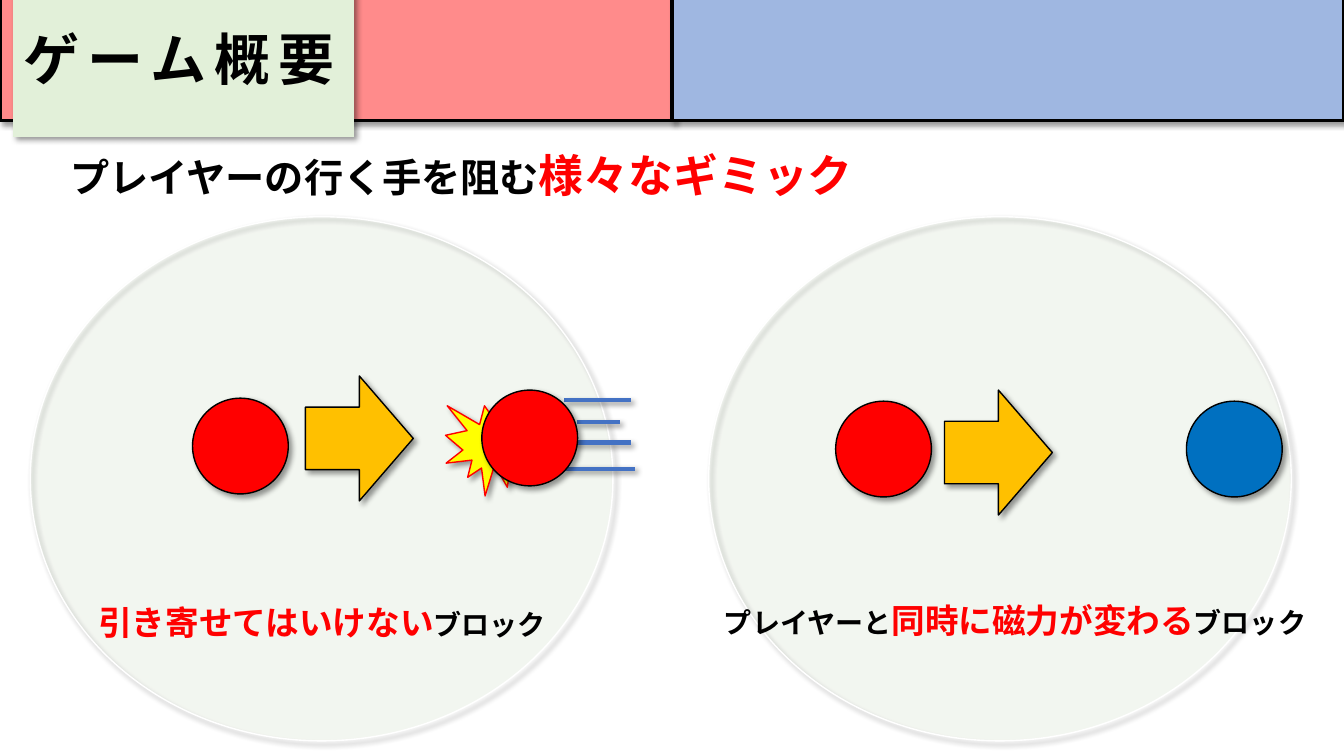
from pptx import Presentation, util as u
from pptx.dml.color import RGBColor
from pptx.enum import shapes, text
from pptx.oxml.ns import qn
from lxml import etree

CELL = u.Inches(0.1)
COLS, ROWS = 133.33, 75
FONT = "Noto Sans CJK JP"
HUES = dict(black="000000", white="FFFFFF", red="FF0000", blue="0070C0",
            pink="FF8B8B", sky="9FB7E1", mint="E2F0D9", green="70AD47",
            yellow="FFFF00", gold="FFC000", streak="4472C4")
KIND = shapes.MSO_SHAPE
BALL = 9.5


def cells(*nums):
    """Turn grid cells into slide lengths."""
    return [round(n * CELL) for n in nums]


def rgb(name):
    """Look up a named colour."""
    return RGBColor.from_string(HUES[name])


def shade(item):
    """Give an item the soft shadow that falls to the lower right."""
    fx = etree.SubElement(item._element.spPr, qn("a:effectLst"))
    drop = etree.SubElement(fx, qn("a:outerShdw"), blurRad="50800", dist="38100",
                            dir="2700000", algn="tl", rotWithShape="0")
    tone = etree.SubElement(drop, qn("a:srgbClr"), val=HUES["black"])
    etree.SubElement(tone, qn("a:alpha"), val="40000")


def paint(item, fill, line=None, width=1, alpha=None):
    """Set the fill, line and shadow of a shape."""
    item.fill.solid()
    item.fill.fore_color.rgb = rgb(fill)
    if alpha:
        tone = item._element.spPr.find(qn("a:solidFill"))[0]
        etree.SubElement(tone, qn("a:alpha"), val=str(alpha * 1000))
    if line:
        item.line.color.rgb = rgb(line)
        item.line.width = u.Pt(width)
    else:
        item.line.fill.background()
    shade(item)


def draw(slide, kind, box, *look, **more):
    """Add a painted preset shape in a box of cells."""
    paint(slide.shapes.add_shape(kind, *cells(*box)), *look, **more)


def write(item, runs, align=text.PP_ALIGN.LEFT, gap=None):
    """Fill one unwrapped line with bold runs of (words, size, colour)."""
    frame = item.text_frame
    frame.word_wrap = False
    frame.auto_size = text.MSO_AUTO_SIZE.SHAPE_TO_FIT_TEXT
    para = frame.paragraphs[0]
    para.alignment = align
    for words, size, hue in runs:
        run = para.add_run()
        run.text = words
        font = run.font
        font.size, font.bold = u.Pt(size), True
        font.color.rgb = rgb(hue)
        font.name = FONT
        props = font._element
        etree.SubElement(props, qn("a:ea"), typeface=FONT)
        if gap:
            props.set("spc", str(gap * 100))


def label(slide, box, runs, **more):
    """Add a text box in a box of cells."""
    write(slide.shapes.add_textbox(*cells(*box)), runs, **more)


def header(slide, box):
    """Place the two colour bars and the title plate on top of them."""
    left, top, wide, high = box
    half = wide / 2
    for i, hue in enumerate(("pink", "sky")):
        draw(slide, KIND.RECTANGLE, (left + i * half, top, half, high), hue, "black", 2.25)
    title = slide.shapes.title
    title.left, title.top, title.width, title.height = cells(left + 1.3, top + 5.2, 33.8, 7.7)
    paint(title, "mint")
    write(title, [("ゲーム概要", 40, "black")], gap=6)
    slide.shapes._spTree.append(title._element)


def crash(slide, x, y):
    """Place the burst and speed lines around a ball at x, y."""
    draw(slide, KIND.EXPLOSION1, (x - 3.6, y + 0.5, 10, 10), "yellow", "red")
    for start, end, drop in ((8.2, 14.8, 1), (9.4, 13.7, 3.2), (6, 14.8, 5.2), (8.3, 15.2, 7.8)):
        line = slide.shapes.add_connector(
            shapes.MSO_CONNECTOR.STRAIGHT, *cells(x + start, y + drop, x + end, y + drop))
        line.line.color.rgb = rgb("streak")
        line.line.width = u.Pt(3)
        shade(line)


def panel(slide, box, arrow, balls, note, runs, hit=False):
    """Place one gimmick: a disc, an arrow, two balls and a caption."""
    left, top = box[:2]
    draw(slide, KIND.OVAL, box, "green", "white", alpha=5)
    if hit:
        x, y, _ = balls[-1]
        crash(slide, left + x, top + y)
    draw(slide, KIND.RIGHT_ARROW, (left + arrow[0], top + arrow[1], 10.7, 12.4), "gold", "black")
    for x, y, hue in balls:
        draw(slide, KIND.OVAL, (left + x, top + y, BALL, BALL), hue, "black")
    x, y, wide = note
    label(slide, (left + x, top + y, wide, 5), runs, align=text.PP_ALIGN.CENTER)


def main():
    """Build the slide and save it."""
    deck = Presentation()
    deck.slide_width, deck.slide_height = cells(COLS, ROWS)
    slide = deck.slides.add_slide(deck.slide_layouts[5])
    label(slide, (6, 14.2, 80.6, 6.4),
          [("プレイヤーの行く手を阻む", 28, "black"), ("様々なギミック", 32, "red")])
    header(slide, (0, -3.3, COLS, 15.3))
    panel(slide, (3, 21.5, 57.8, 52), (27.3, 15.8),
          [(16.1, 18, "red"), (44.8, 17.2, "red")], (5.5, 37.7, 46.9),
          [("引き寄せてはいけない", 24, "red"), ("ブロック", 20, "black")], hit=True)
    panel(slide, (70.3, 21.5, 57.8, 52), (23.4, 17.2),
          [(12.6, 18.3, "red"), (47.4, 18.3, "blue")], (-0.9, 37.5, 62.6),
          [("プレイヤーと", 20, "black"), ("同時に磁力が変わる", 24, "red"),
           ("ブロック", 20, "black")])
    deck.save("out.pptx")


if __name__ == "__main__":
    main()
